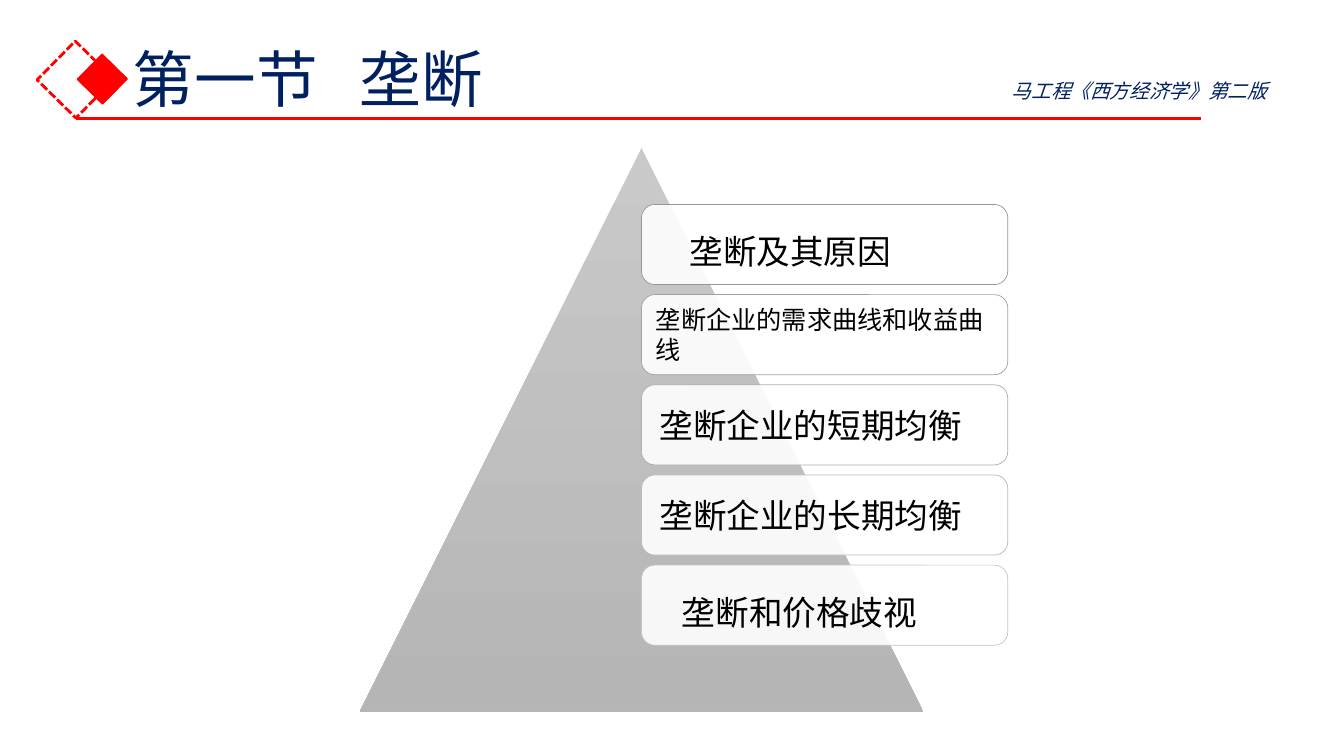
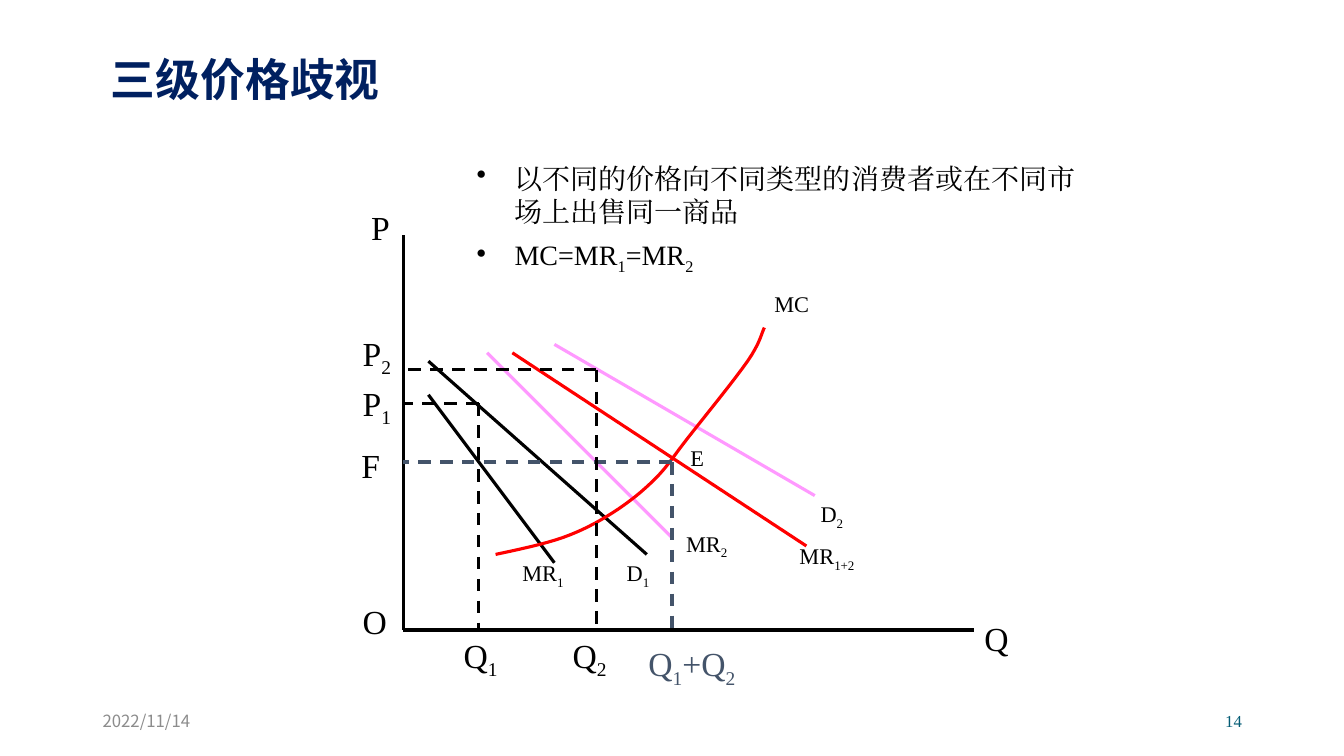
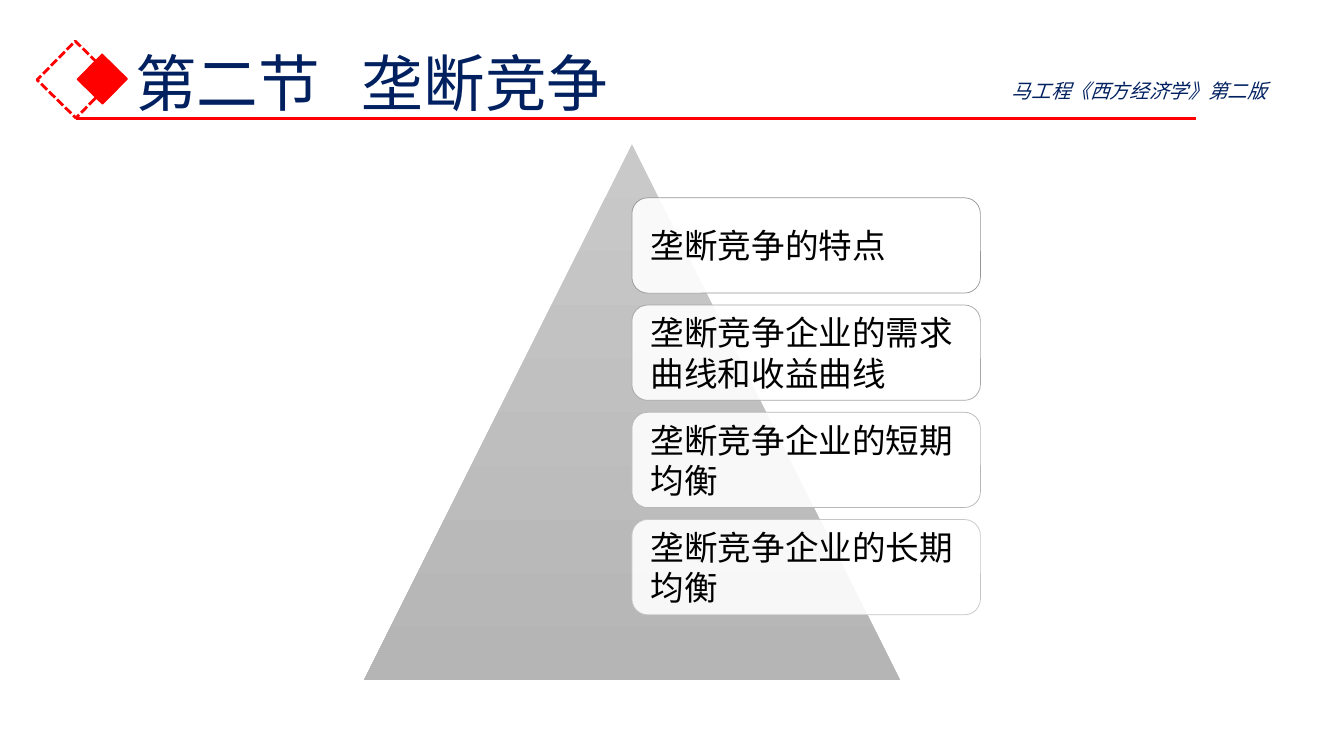
from lxml import etree
from pptx import Presentation
from pptx.dml.color import RGBColor
from pptx.enum import dml, shapes, text
from pptx.oxml import ns
from pptx.util import Pt

# Shared style
SANS, SERIF = "Noto Sans CJK SC", "Times New Roman"
NAVY, RED, BLACK, WHITE = "002060", "FF0000", "000000", "FFFFFF"
PINK, SLATE, GREY, TEAL = "FF99FF", "44546A", "8C8C8C", "045C75"
BOOK = "马工程《西方经济学》第二版"
DASH, SHORT_DASH = dml.MSO_LINE.DASH, dml.MSO_LINE.SQUARE_DOT


def rgb(value):
    return RGBColor.from_string(value)


def add_xml(parent, tag, **attrs):
    return etree.SubElement(parent, ns.qn(tag), attrs)


# Text
def style_run(r, size, font, color, bold=False, italic=False):
    f = r.font
    f.size, f.name, f.bold, f.italic = Pt(size), font, bold, italic
    f.color.rgb = rgb(color)
    add_xml(r._r.get_or_add_rPr(), "a:ea", typeface=font)


def write(p, content, size, font, color, spacing=None, **style):
    """Fill a paragraph; the parts between underscores become subscripts."""
    p.alignment = text.PP_ALIGN.LEFT
    if spacing:
        p.line_spacing = Pt(spacing)
    for i, part in enumerate(content.split("_")):
        r = p.add_run()
        r.text = part
        style_run(r, size, font, color, **style)
        if i % 2:
            r._r.get_or_add_rPr().set("baseline", "-25000")


def textbox(s, x, y, w, h, content, size, font=SERIF, color=BLACK, **style):
    tf = s.shapes.add_textbox(Pt(x), Pt(y), Pt(w), Pt(h)).text_frame
    tf.word_wrap = True
    write(tf.paragraphs[0], content, size, font, color, **style)
    return tf


def add_title(s, x, y, w, h, content, size, anchor, bold=False):
    sp = s.shapes.title
    sp.left, sp.top, sp.width, sp.height = Pt(x), Pt(y), Pt(w), Pt(h)
    tf = sp.text_frame
    tf.auto_size = text.MSO_AUTO_SIZE.NONE
    tf.vertical_anchor = anchor
    write(tf.paragraphs[0], content, size, SANS, NAVY, size * 1.1, bold=bold)
    return tf.paragraphs[0]


# Shapes and lines
def shape(s, kind, x, y, w, h, fill=None, line=None, width=1):
    sp = s.shapes.add_shape(kind, Pt(x), Pt(y), Pt(w), Pt(h))
    sp.shadow.inherit = False
    if fill:
        sp.fill.solid()
        sp.fill.fore_color.rgb = rgb(fill)
    else:
        sp.fill.background()
    if line:
        sp.line.color.rgb = rgb(line)
        sp.line.width = Pt(width)
    else:
        sp.line.fill.background()
    return sp


def line(s, x1, y1, x2, y2, color=BLACK, dash=None):
    c = s.shapes.add_connector(shapes.MSO_CONNECTOR.STRAIGHT,
                               Pt(x1), Pt(y1), Pt(x2), Pt(y2))
    c.line.color.rgb = rgb(color)
    c.line.width = Pt(2.25)
    if dash:
        c.line.dash_style = dash
    add_xml(c._element.spPr, "a:effectLst")


def curve(s, start, segments, color, steps=8):
    """Draw joined cubic Bézier segments as one smooth open outline."""
    points, (x0, y0) = [], start
    for x1, y1, x2, y2, x3, y3 in segments:
        for i in range(1, steps + 1):
            t = i / steps
            k = ((1 - t) ** 3, 3 * t * (1 - t) ** 2, 3 * t * t * (1 - t), t ** 3)
            x = sum(a * b for a, b in zip(k, (x0, x1, x2, x3)))
            y = sum(a * b for a, b in zip(k, (y0, y1, y2, y3)))
            points.append((Pt(x), Pt(y)))
        x0, y0 = x3, y3
    builder = s.shapes.build_freeform(Pt(start[0]), Pt(start[1]))
    builder.add_line_segments(points, close=False)
    sp = builder.convert_to_shape()
    sp.shadow.inherit = False
    sp.fill.background()
    sp.line.color.rgb = rgb(color)
    sp.line.width = Pt(2.25)


# Section slides
def section_header(s, number, name, x, y, rule_end):
    p = add_title(s, x, y, 892.8 - x + 1.2, 104.4, f"{number}\t{name}", 44,
                  text.MSO_ANCHOR.MIDDLE)
    tabs = add_xml(p._p.get_or_add_pPr(), "a:tabLst")
    add_xml(tabs, "a:tab", pos=str(Pt(162)), algn="l")
    square = shapes.MSO_SHAPE.RECTANGLE
    outline = shape(s, square, 34.6, 37.4, 38.9, 38.9, line=RED, width=2)
    outline.line.dash_style = SHORT_DASH
    solid = shape(s, square, 60.5, 43.9, 25.2, 25.2, fill=RED, line=RED)
    outline.rotation = solid.rotation = 314.5
    line(s, 54, 84.5, rule_end, 84.5, RED)
    textbox(s, 715.7, 52.6, 233.3, 24.5, BOOK, 14, SANS, NAVY, italic=True)


def pyramid(s, x, y, size, topics):
    """Triangle with a column of boxes; a topic is text, size, indent, drop."""
    sp = shape(s, shapes.MSO_SHAPE.ISOSCELES_TRIANGLE, x, y, size, size)
    sp.fill.gradient()
    sp.fill.gradient_angle = 270
    for stop, color in zip(sp.fill.gradient_stops, ("C9C9C9", "B5B5B5")):
        stop.color.rgb = rgb(color)

    n = len(topics)
    pitch = 0.8 * size / n
    for i, (topic, font_size, indent, drop) in enumerate(topics):
        edge = f"{150 + 48 * i // (n - 1):02X}" * 3
        box = shape(s, shapes.MSO_SHAPE.ROUNDED_RECTANGLE,
                    x + size / 2, y + size / 10 + i * pitch,
                    0.65 * size, pitch / 1.125, WHITE, edge, 0.5)
        color = box.fill._xPr.find(".//" + ns.qn("a:srgbClr"))
        add_xml(color, "a:alpha", val="90000")
        tf = box.text_frame
        tf.word_wrap = True
        tf.vertical_anchor = text.MSO_ANCHOR.MIDDLE
        tf.margin_left = Pt(font_size * 0.42 + indent)
        tf.margin_right = Pt(font_size * 0.42)
        tf.margin_top, tf.margin_bottom = Pt(4 + drop), Pt(4)
        write(tf.paragraphs[0], topic, font_size, SANS, BLACK, font_size * 1.2)


# Price discrimination slide
def bullets(s, x, y, w, h, items):
    tf = textbox(s, x, y, w, h, items[0], 20, spacing=24)
    for item in items[1:]:
        p = tf.add_paragraph()
        write(p, item, 20, SERIF, BLACK, 24)
        p.space_before = Pt(10)
    for p in tf.paragraphs:
        pPr = p._p.get_or_add_pPr()
        pPr.set("marL", str(Pt(27)))
        pPr.set("indent", str(Pt(-27)))
        add_xml(pPr, "a:buChar", char="•")


def market_diagram(s):
    left, base = 288, 450
    # Axes, demand and marginal revenue
    for x1, y1, x2, y2, color in (
            (left, 168, left, base, BLACK), (left, base, 696, base, BLACK),
            (306, 282, 396, 402, BLACK), (306, 258, 462, 396, BLACK),
            (396, 246, 582, 354, PINK), (348, 252, 480, 384, PINK),
            (366, 252, 576, 390, RED)):
        line(s, x1, y1, x2, y2, color)
    # Marginal cost
    curve(s, (354, 396), (
        (371, 392.4, 388, 388.8, 402, 384), (416, 379, 427, 373, 438, 366),
        (449, 359, 459, 351, 468, 342), (477, 333, 481, 326, 492, 312),
        (503, 298, 525, 271, 534, 258), (543, 245, 544, 238, 546, 234)), RED)
    # Guides from each point to both axes
    for x, y, color in ((480, 330, SLATE), (342, 288, BLACK), (426, 264, BLACK)):
        line(s, x, y, left, y, color, DASH)
        line(s, x, y, x, base, color, DASH)
    # Axis labels
    for label, x, y in (("O", 252, 426), ("Q", 696, 438), ("P", 258, 144),
                        ("Q_1", 324, 450), ("Q_2", 402, 450),
                        ("P_1", 252, 270), ("P_2", 252, 234), ("F", 251, 314)):
        textbox(s, x, y, 54, 36, label, 24)
    textbox(s, 456, 456, 107, 36, "Q_1_+Q_2", 24, color=SLATE)
    # Curve labels
    for label, x, y, w in (("D_1", 440.6, 396, 42), ("D_2", 579, 354, 48),
                           ("MR_2", 483, 375, 60), ("MR_1", 366, 396, 60),
                           ("MR_1+2", 564, 384, 78), ("MC", 546, 204, 48),
                           ("E", 486, 314, 30)):
        textbox(s, x, y, w, 26.6, label, 16)


def footer(s, date, number):
    for x, content, font, color, align in (
            (66.2, date, SANS, GREY, text.PP_ALIGN.LEFT),
            (678.2, number, SERIF, TEAL, text.PP_ALIGN.RIGHT)):
        tf = textbox(s, x, 500.4, 216, 28.8, content, 12, font, color)
        tf.vertical_anchor = text.MSO_ANCHOR.MIDDLE
        tf.paragraphs[0].alignment = align


def main():
    prs = Presentation()
    prs.slide_width, prs.slide_height = Pt(960), Pt(540)
    title_only = prs.slide_layouts[5]

    # Section one
    s = prs.slides.add_slide(title_only)
    section_header(s, "第一节", "垄断", 87.8, 5.8, 858.2)
    pyramid(s, 257, 105.8, 402.5, (
        ("垄断及其原因", 24, 21.5, 10),
        ("垄断企业的需求曲线和收益曲线", 18, 0, 0),
        ("垄断企业的短期均衡", 24, 0, 0),
        ("垄断企业的长期均衡", 24, 0, 0),
        ("垄断和价格歧视", 24, 16, 10)))

    # Third-degree price discrimination
    s = prs.slides.add_slide(title_only)
    add_title(s, 72, 36.7, 648, 60, "三级价格歧视", 32,
              text.MSO_ANCHOR.TOP, bold=True)
    footer(s, "2022/11/14", "14")
    market_diagram(s)
    bullets(s, 333.4, 111.6, 450, 92.2, (
        "以不同的价格向不同类型的消费者或在不同市场上出售同一商品",
        "MC=MR_1_=MR_2"))

    # Section two
    s = prs.slides.add_slide(title_only)
    section_header(s, "第二节", "垄断竞争", 89.3, 8.6, 854.6)
    pyramid(s, 259.9, 103, 383, [(topic, 24, 0, 0) for topic in (
        "垄断竞争的特点", "垄断竞争企业的需求曲线和收益曲线",
        "垄断竞争企业的短期均衡", "垄断竞争企业的长期均衡")])

    prs.save("out.pptx")


if __name__ == "__main__":
    main()
